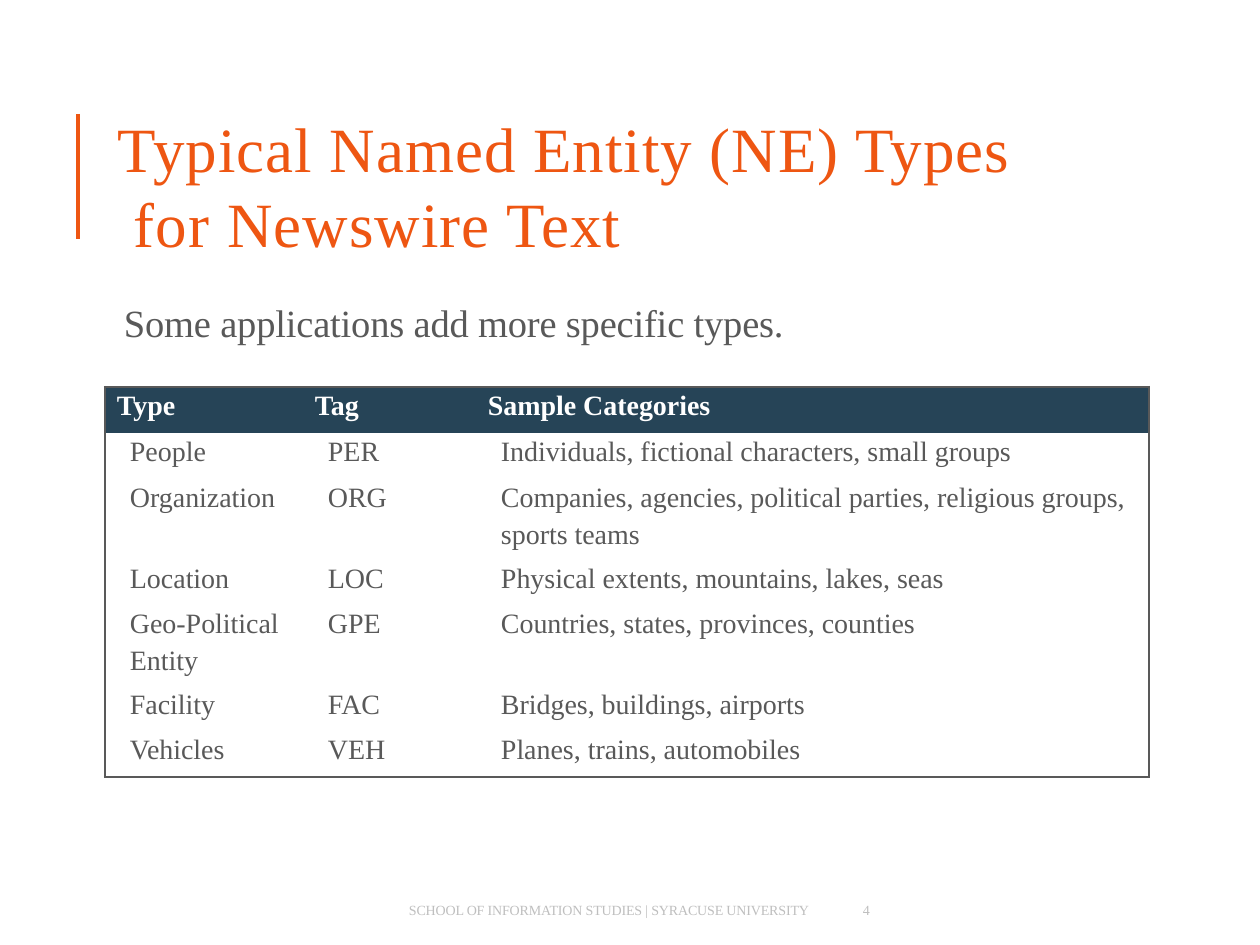
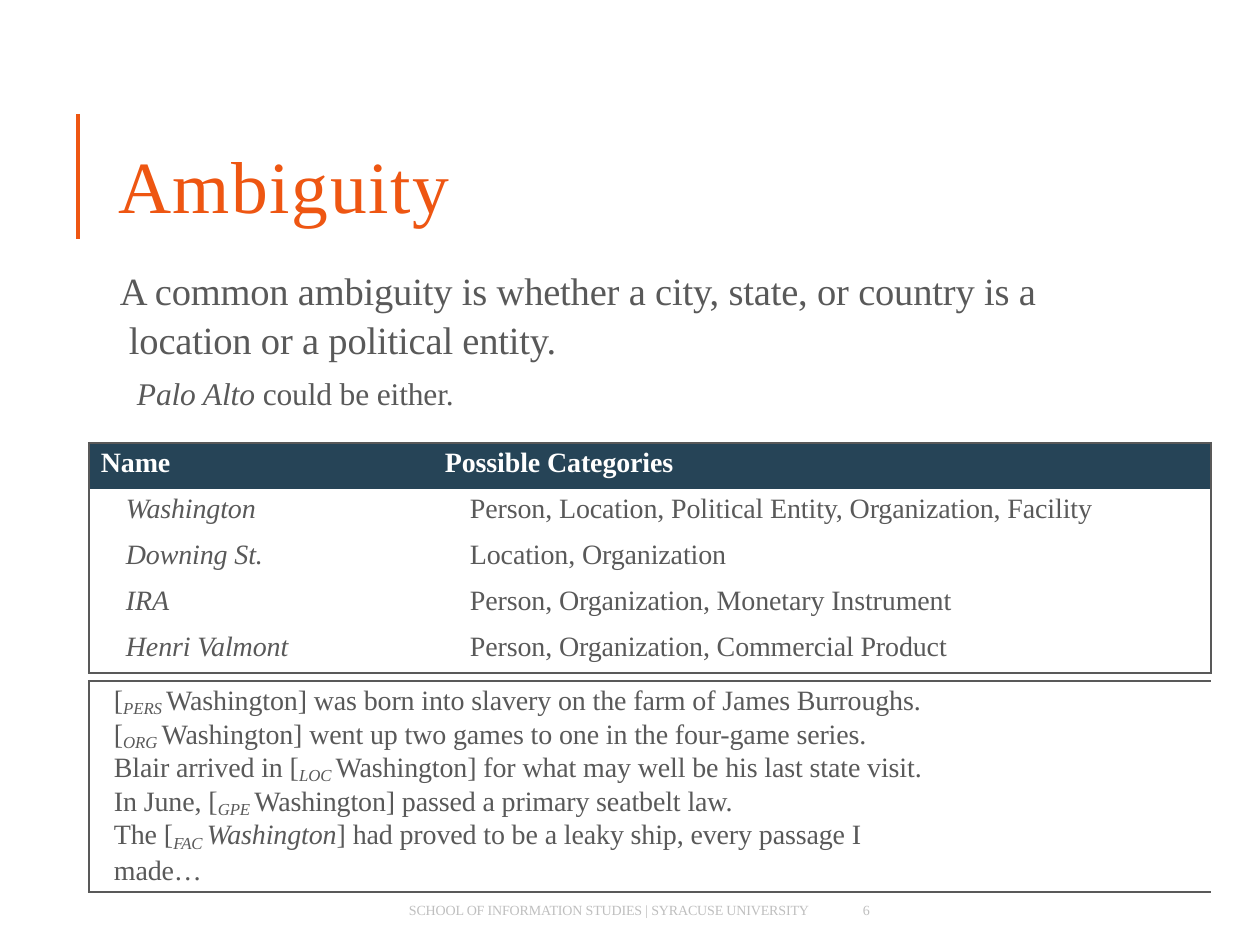
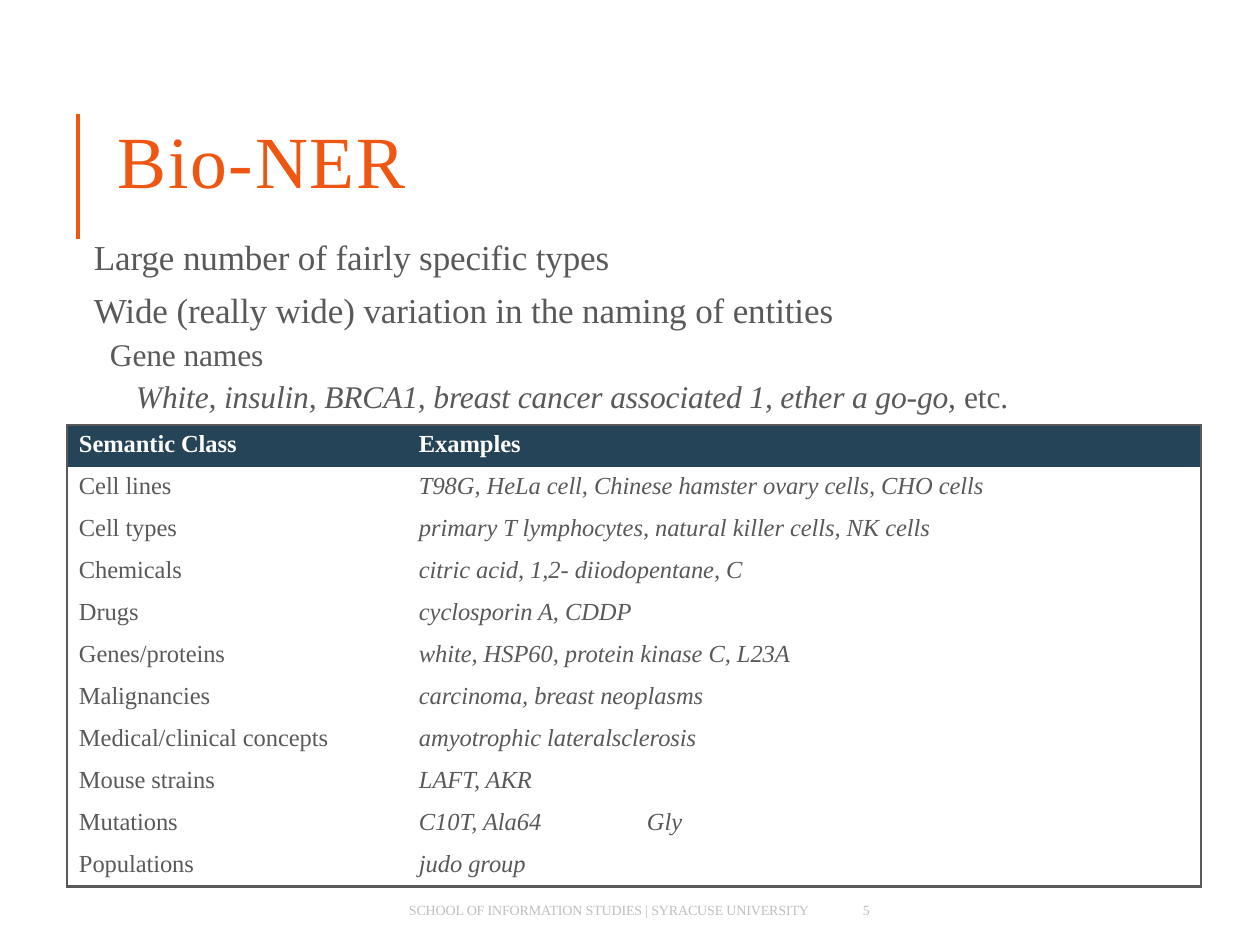
import pptx
import pptx.util
import pptx.dml.color
import pptx.enum.shapes
import pptx.enum.text
import pptx.oxml
import pptx.oxml.ns

FONT = "Times New Roman"
ORANGE, GREY, PALE, NAVY, WHITE = "EE5612", "595959", "BFBFBF", "264457", "FFFFFF"
FOOT = "SCHOOL OF INFORMATION STUDIES | SYRACUSE UNIVERSITY"

# Content: a run is (text, style), with i for italic and s for subscript tag.
# A body line is (runs, size, left, first-line indent, space before, line spacing).
SLIDES = [
    dict(
        page="4", title="Typical Named Entity (NE) Types for Newswire Text",
        box=(117, 105, 917, 155), size=36, track=0.6, pitch=43, hang=16,
        body=(123, 294, 670, 49), inset=5,
        lines=[("Some applications add more specific types.", 22, 1, 0, 0, 1)],
        table=dict(
            at=(105, 387), cols=[193, 140, 711], size=16, track=0, top=4,
            rows=[46, 46, 41, 40, 45, 41, 40, 45, 46],
            head=[12, 17, 50], left=[25, 30, 63],
            data=[
                ("Type", "Tag", "Sample Categories"),
                ("People", "PER", "Individuals, fictional characters, small groups"),
                ("Organization", "ORG",
                 "Companies, agencies, political parties, religious groups,"),
                ("", "", "sports teams"),
                ("Location", "LOC", "Physical extents, mountains, lakes, seas"),
                ("Geo-Political", "GPE", "Countries, states, provinces, counties"),
                ("Entity", "", ""),
                ("Facility", "FAC", "Bridges, buildings, airports"),
                ("Vehicles", "VEH", "Planes, trains, automobiles"),
            ],
            tight=[3, 6])),
    dict(
        page="6", title="Ambiguity", box=(117, 136, 336, 92), size=42, track=0.95,
        body=(118, 261, 930, 145), inset=3,
        lines=[
            ("A common ambiguity is whether a city, state, or country is a "
             "location or a political entity.", 22, 11, -9, 0, 1.06),
            ([("Palo Alto ", "i"), ("could be either.", "")], 18, 19, 0, 7.2, 1),
        ],
        table=dict(
            at=(89, 443), cols=[272, 850], size=16, track=-0.05, top=5,
            rows=[46] * 5 + [8, 211], head=[12, 84], left=[37, 109], slant=0,
            data=[
                ("Name", "Possible Categories"),
                ("Washington", "Person, Location, Political Entity, Organization, Facility"),
                ("Downing St.", "Location, Organization"),
                ("IRA", "Person, Organization, Monetary Instrument"),
                ("Henri Valmont", "Person, Organization, Commercial Product"),
                ("", ""),
                ("", ""),
            ],
            gap=5,
            notes=[
                [("[", ""), ("PERS ", "s"),
                 ("Washington] was born into slavery on the farm of James Burroughs.", "")],
                [("[", ""), ("ORG ", "s"),
                 ("Washington] went up two games to one in the four-game series.", "")],
                [("Blair arrived in [", ""), ("LOC ", "s"),
                 ("Washington] for what may well be his last state visit.", "")],
                [("In June, [", ""), ("GPE ", "s"),
                 ("Washington] passed a primary seatbelt law.", "")],
                [("The [", ""), ("FAC ", "s"), ("Washington", "i"),
                 ("] had proved to be a leaky ship, every passage I", "")],
                "made…",
            ])),
    dict(
        page="5", title="Bio-NER", box=(117, 111, 291, 92), size=42, track=0.95,
        body=(92, 218, 935, 188), inset=17,
        lines=[
            ("Large number of fairly specific types", 20, 2, 0, 0, 1),
            ("Wide (really wide) variation in the naming of entities", 20, 2, 0, 6.7, 1),
            ("Gene names", 18, 18, 0, 2.5, 1),
            ([("White, insulin, BRCA1, breast cancer associated 1, ether a go-go, ", "i"),
              ("etc.", "")], 18, 44, 0, 2.5, 1),
        ],
        table=dict(
            at=(67, 425), cols=[309, 825], size=14, track=-0.05, top=6,
            rows=[42] * 11, head=[12, 43], left=[12, 43], slant=1, tab=228,
            data=[
                ("Semantic Class", "Examples"),
                ("Cell lines", "T98G, HeLa cell, Chinese hamster ovary cells, CHO cells"),
                ("Cell types", "primary T lymphocytes, natural killer cells, NK cells"),
                ("Chemicals", "citric acid, 1,2- diiodopentane, C"),
                ("Drugs", "cyclosporin A, CDDP"),
                ("Genes/proteins", "white, HSP60, protein kinase C, L23A"),
                ("Malignancies", "carcinoma, breast neoplasms"),
                ("Medical/clinical concepts", "amyotrophic lateralsclerosis"),
                ("Mouse strains", "LAFT, AKR"),
                ("Mutations", "C10T, Ala64\tGly"),
                ("Populations", "judo group"),
            ])),
]


def px(n):
    return round(n * 914400 / 126)


def hue(code):
    return pptx.dml.color.RGBColor.from_string(code)


def add(parent, tag, **attrs):
    node = pptx.oxml.ns.qn(tag)
    node = parent.makeelement(node, attrs)
    parent.append(node)
    return node


def write(para, runs, size, color, track=0, bold=False):
    if isinstance(runs, str):
        runs = [(runs, "")]
    for text, style in runs:
        run = para.add_run()
        run.text = text
        font = run.font
        font.name, font.bold = FONT, bold
        font.size = pptx.util.Pt(size + 0.5 if style == "s" else size)
        font.italic = style in ("i", "s")
        font.color.rgb = hue(color)
        props = run._r.get_or_add_rPr()
        props.set("spc", str(round(track * 100)))
        if style == "s":
            props.set("baseline", "-15000")


def shift(para, left, first):
    props = para._p.get_or_add_pPr()
    props.set("marL", str(px(left)))
    props.set("indent", str(px(first)))


def text_box(slide, box, left=0, top=0):
    frame = slide.shapes.add_textbox(*map(px, box)).text_frame
    frame.word_wrap = True
    frame.margin_left, frame.margin_top = px(left), px(top)
    frame.margin_right = frame.margin_bottom = 0
    return frame


def draw_base(slide, item):
    # Accent rule
    rule = slide.shapes.add_connector(
        pptx.enum.shapes.MSO_CONNECTOR.STRAIGHT, px(78), px(114), px(78), px(239))
    rule.line.color.rgb = hue(ORANGE)
    rule.line.width = pptx.util.Pt(2)
    add(rule._element.spPr, "a:effectLst")
    # Title, standing on the bottom of its box
    frame = text_box(slide, item["box"])
    frame.vertical_anchor = pptx.enum.text.MSO_ANCHOR.BOTTOM
    para = frame.paragraphs[0]
    hang = item.get("hang", 0)
    shift(para, 1 + hang, -hang)
    if "pitch" in item:
        para.line_spacing = pptx.util.Pt(item["pitch"])
    write(para, item["title"], item["size"], ORANGE, item["track"])
    # Footer and page number
    for text, box, left, track in ((FOOT, (408, 902, 413, 19), 1, -0.1),
                                   (item["page"], (858, 902, 24, 19), 5, 0)):
        write(text_box(slide, box, left).paragraphs[0], text, 8, PALE, track)


def draw_body(slide, item):
    frame = text_box(slide, item["body"], top=item["inset"])
    for n, (runs, size, left, first, before, pitch) in enumerate(item["lines"]):
        para = frame.add_paragraph() if n else frame.paragraphs[0]
        shift(para, left, first)
        if before:
            para.space_before = pptx.util.Pt(before)
        para.line_spacing = pitch
        write(para, runs, size, GREY, -0.08)


def edge(cell, sides):
    # Border lines come before the fill in the cell properties
    props = cell._tc.get_or_add_tcPr()
    for n, side in enumerate("LRTB"):
        line = add(props, "a:ln" + side, w=str(pptx.util.Pt(1.5)))
        if side in sides:
            add(add(line, "a:solidFill"), "a:srgbClr", val=GREY)
        else:
            add(line, "a:noFill")
        props.insert(n, line)


def draw_table(slide, spec):
    cols, rows, data = spec["cols"], spec["rows"], spec["data"]
    table = slide.shapes.add_table(
        len(rows), len(cols), *map(px, (*spec["at"], sum(cols), sum(rows)))).table
    table.first_row = table.horz_banding = False
    for col, width in zip(table.columns, cols):
        col.width = px(width)
    for row, height in zip(table.rows, rows):
        row.height = px(height)

    gap = spec.get("gap")
    rules = {0, len(rows)} | ({gap, gap + 1} if gap else set())
    for r, texts in enumerate(data):
        for c, text in enumerate(texts):
            cell = table.cell(r, c)
            cell.margin_left = px(spec["left" if r else "head"][c])
            cell.margin_top = px(0 if not text or r in spec.get("tight", []) else spec["top"])
            cell.margin_right = cell.margin_bottom = 0
            if r:
                cell.fill.background()
            else:
                cell.fill.solid()
                cell.fill.fore_color.rgb = hue(NAVY)
            sides = "T" * (r in rules) + "B" * (r + 1 in rules)
            if not gap or r != gap:
                sides += "L" * (c == 0) + "R" * (c == len(cols) - 1)
            edge(cell, sides)
            para = cell.text_frame.paragraphs[0]
            if "\t" in text:
                tabs = add(para._p.get_or_add_pPr(), "a:tabLst")
                add(tabs, "a:tab", pos=str(px(spec["tab"])), algn="l")
            if text:
                style = "i" if r and c == spec.get("slant") else ""
                write(para, [(text, style)], spec["size"], GREY if r else WHITE,
                      spec["track"], bold=not r)
            elif not (gap and r > gap and c == 0):
                add(para._p, "a:endParaRPr", sz="100")

    # Example sentences under the gap row
    if gap:
        for r in (gap, gap + 1):
            table.cell(r, 0).merge(table.cell(r, len(cols) - 1))
            edge_cell = table.cell(r, 0)
        edge_cell.margin_left, edge_cell.margin_top = px(25), px(4)
        frame = edge_cell.text_frame
        for n, runs in enumerate(spec["notes"]):
            para = frame.add_paragraph() if n else frame.paragraphs[0]
            para.line_spacing = pptx.util.Pt(19.2)
            write(para, runs, spec["size"], GREY, spec["track"])


def main():
    deck = pptx.Presentation()
    deck.slide_width, deck.slide_height = px(1260), px(945)
    for item in SLIDES:
        slide = deck.slides.add_slide(deck.slide_layouts[6])
        draw_base(slide, item)
        draw_body(slide, item)
        draw_table(slide, item["table"])
    deck.save("out.pptx")


if __name__ == "__main__":
    main()
